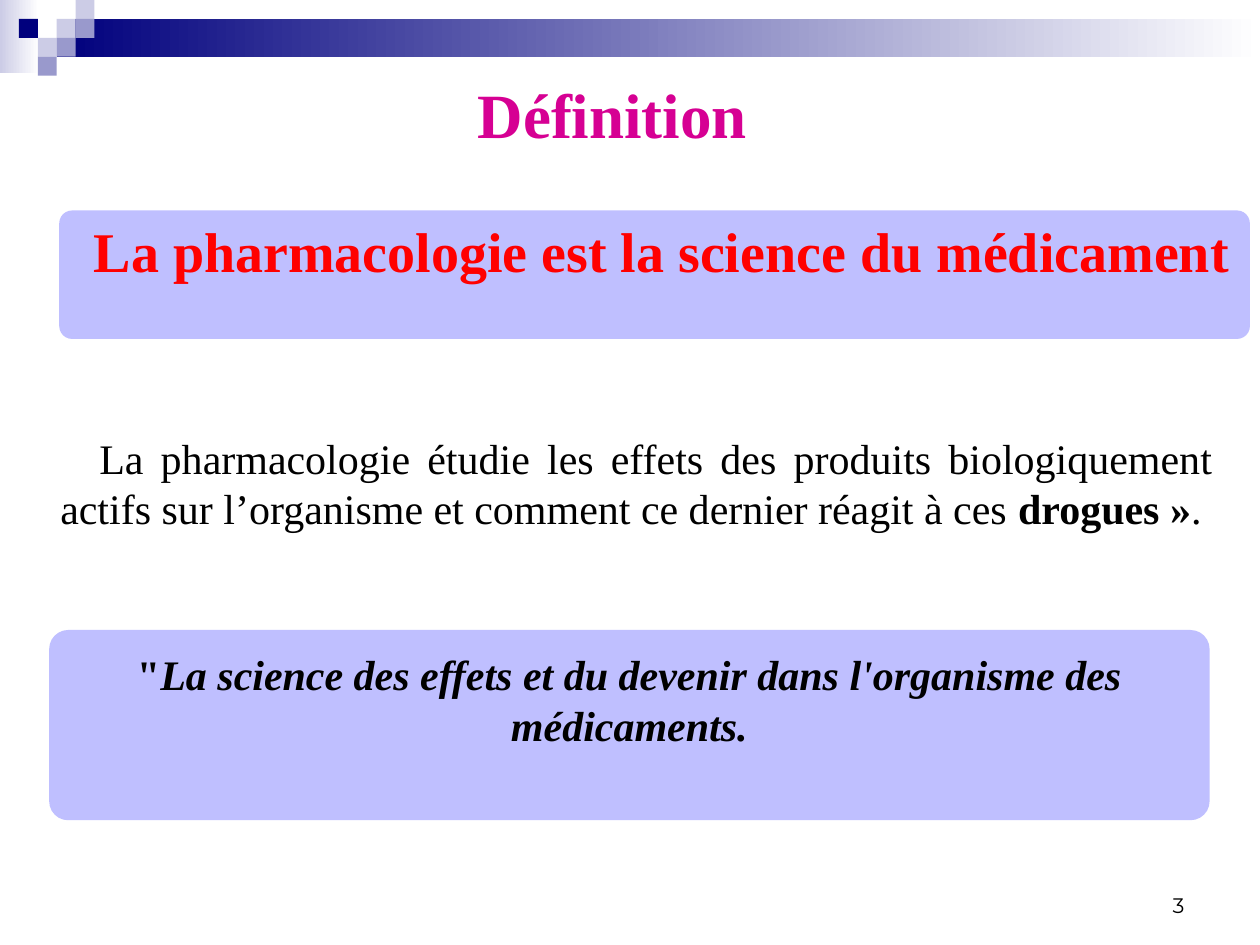
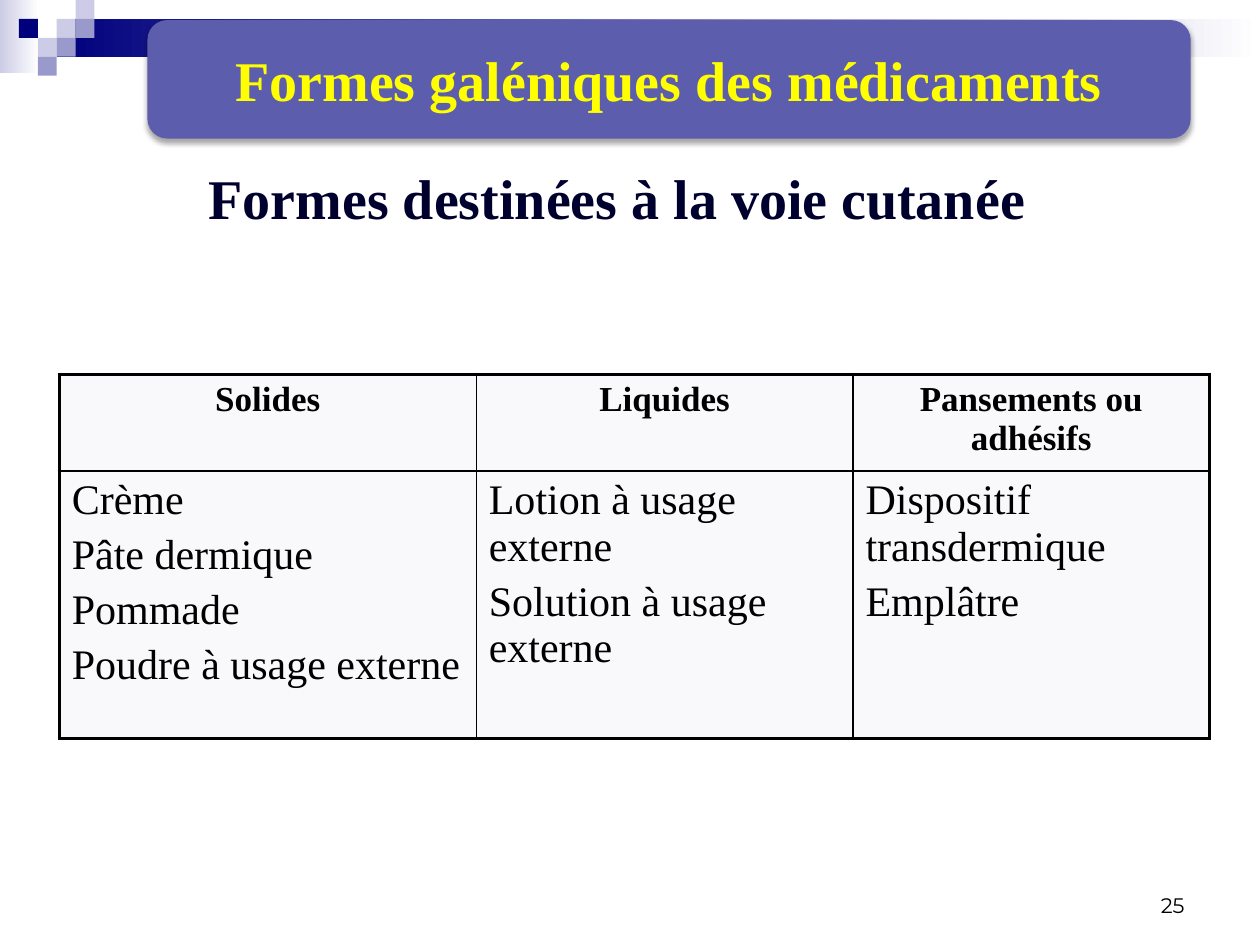
from lxml import etree
from pptx import Presentation
from pptx.dml.color import RGBColor
from pptx.enum.shapes import MSO_SHAPE
from pptx.enum.text import MSO_ANCHOR, PP_ALIGN
from pptx.oxml import parse_xml
from pptx.oxml.ns import nsdecls
from pptx.util import Inches, Pt

RECT, ROUNDED = MSO_SHAPE.RECTANGLE, MSO_SHAPE.ROUNDED_RECTANGLE
LEFT, CENTER, RIGHT, JUSTIFY = PP_ALIGN.LEFT, PP_ALIGN.CENTER, PP_ALIGN.RIGHT, PP_ALIGN.JUSTIFY
TOP, MIDDLE, BOTTOM = MSO_ANCHOR.TOP, MSO_ANCHOR.MIDDLE, MSO_ANCHOR.BOTTOM
SERIF, SANS = "Times New Roman", "Montserrat"
COLORS = {
    "navy": "00007D", "lilac": "CCCCE6", "violet": "9999CC", "white": "FFFFFF",
    "panel": "BFBFFF", "banner": "5D5DAE", "cell": "F9F8FA", "black": "000000",
    "pink": "D60093", "red": "FF0000", "yellow": "FFFF00", "midnight": "00002E",
}


def add_block(page, kind, bounds, *fills):
    block = page.shapes.add_shape(kind, *[Inches(value) for value in bounds])
    block.shadow.inherit = False
    block.line.fill.background()
    if len(fills) == 1:
        block.fill.solid()
        block.fill.fore_color.rgb = RGBColor.from_string(COLORS[fills[0]])
    else:
        block.fill.gradient()
        block.fill.gradient_angle = 0
        for position, (stop, name) in enumerate(zip(block.fill.gradient_stops, fills)):
            stop.position = position
            stop.color.rgb = RGBColor.from_string(COLORS[name])
    return block


def write(frame, *paragraphs, size=24, color="black", font=SERIF, bold=False,
          align=LEFT, anchor=TOP, gap=0):
    frame.word_wrap = True
    frame.vertical_anchor = anchor
    for index, content in enumerate(paragraphs):
        para = frame.add_paragraph() if index else frame.paragraphs[0]
        para.alignment = align
        if index:
            para.space_before = Pt(gap)
        spans = [(content, bold, False)] if isinstance(content, str) else content
        for text, is_bold, is_italic in spans:
            span = para.add_run()
            span.text = text
            span.font.name = font
            span.font.size = Pt(size)
            span.font.bold = is_bold
            span.font.italic = is_italic
            span.font.color.rgb = RGBColor.from_string(COLORS[color])


deck = Presentation()
deck.slide_width, deck.slide_height = Inches(10), Inches(7.5)

tile = 0.15
tiles = [
    (3, 1, "lilac"), (4, 0, "lilac"), (4, 1, "violet"), (2, 2, "lilac"),
    (1, 1, "navy"), (3, 2, "violet"), (2, 3, "violet"),
]
pages = []
for number in ("3", "25"):
    page = deck.slides.add_slide(deck.slide_layouts[6])
    pages.append(page)
    add_block(page, RECT, (0, 0, 0.31, 0.58), "lilac", "white")
    add_block(page, RECT, (0.45, 0.15, 9.55, 0.3), "navy", "white")
    for column, row, name in tiles:
        add_block(page, RECT, (column * tile, row * tile, tile, tile), name)
    box = page.shapes.add_textbox(Inches(7.17), Inches(6.83), Inches(2.33), Inches(0.5))
    write(box.text_frame, number, size=12, font=SANS, align=RIGHT, anchor=BOTTOM)

definition, forms = pages

for bounds in ((0.39, 5, 9.21, 1.51), (0.47, 1.67, 9.45, 1.02)):
    panel = add_block(definition, ROUNDED, bounds, "panel")
    panel.adjustments[0] = 0.1

effects = [
    ("La pharmacologie étudie les effets des produits biologiquement actifs sur "
     "l’organisme et comment ce dernier réagit à ces ", False, False),
    ("drogues »", True, False),
    (".", False, False),
]
quote = [
    ('"', True, False),
    ("La science des effets et du devenir dans l'organisme des médicaments.", True, True),
]
texts = [
    (definition, (3.05, 0.55, 3.62, 0.7), "Définition",
     {"size": 36, "color": "pink", "bold": True, "align": CENTER}),
    (definition, (0.51, 1.67, 9.49, 0.63), "La pharmacologie est la science du médicament",
     {"size": 32, "color": "red", "bold": True, "align": CENTER}),
    (definition, (0, 3.38, 9.72, 1.87), effects, {"align": JUSTIFY}),
    (definition, (0.62, 5.1, 8.75, 0.9), quote, {"align": CENTER}),
    (forms, (0, 0.94, 9.8, 1.25), "Formes destinées à la voie cutanée",
     {"size": 32, "color": "midnight", "bold": True, "align": CENTER, "anchor": MIDDLE}),
]
for page, bounds, content, style in texts:
    box = page.shapes.add_textbox(*[Inches(value) for value in bounds])
    write(box.text_frame, content, **style)
    if content is effects:
        indents = box.text_frame.paragraphs[0]._p.get_or_add_pPr()
        indents.set("marL", str(Inches(0.38)))
        indents.set("indent", str(Inches(0.31)))

banner = add_block(forms, ROUNDED, (1.17, 0.16, 8.28, 0.94), "banner")
banner.adjustments[0] = 0.167
write(banner.text_frame, "Formes galéniques des médicaments", size=32,
      color="yellow", bold=True, align=CENTER, anchor=MIDDLE)
effect_list = banner._element.spPr.find("{*}effectLst")
effect_list.append(parse_xml(
    f'<a:outerShdw {nsdecls("a")} blurRad="{Pt(3.1)}" dist="{Pt(1.8)}" dir="5400000" '
    f'rotWithShape="0"><a:srgbClr val="{COLORS["black"]}"><a:alpha val="35000"/>'
    '</a:srgbClr></a:outerShdw>'))

columns = [
    (3.31, "Solides", ["Crème", "Pâte dermique", "Pommade", "Poudre à usage externe"]),
    (2.99, "Liquides", ["Lotion à usage externe", "Solution à usage externe"]),
    (2.83, "Pansements ou adhésifs", ["Dispositif transdermique", "Emplâtre"]),
]
table = forms.shapes.add_table(
    2, 3, Inches(0.47), Inches(2.97), Inches(9.13), Inches(2.89)).table
table.first_row = table.horz_banding = False
table.rows[0].height, table.rows[1].height = Inches(0.77), Inches(2.12)
for column, (width, heading, products) in enumerate(columns):
    table.columns[column].width = Inches(width)
    write(table.cell(0, column).text_frame, heading, size=20, bold=True, align=CENTER)
    write(table.cell(1, column).text_frame, *products, gap=4.8)
    for row in range(2):
        cell = table.cell(row, column)
        outer_sides = {"lnL": column == 0, "lnR": column == 2, "lnT": row == 0, "lnB": row == 1}
        properties = cell._tc.get_or_add_tcPr()
        for side, is_outer in outer_sides.items():
            border = parse_xml(
                f'<a:{side} {nsdecls("a")} w="{Pt(2.21 if is_outer else 0.96)}"/>')
            paint = etree.SubElement(border, border.tag.replace(side, "solidFill"))
            etree.SubElement(paint, border.tag.replace(side, "srgbClr"), val=COLORS["black"])
            properties.append(border)
        cell.fill.solid()
        cell.fill.fore_color.rgb = RGBColor.from_string(COLORS["cell"])

deck.save("out.pptx")
